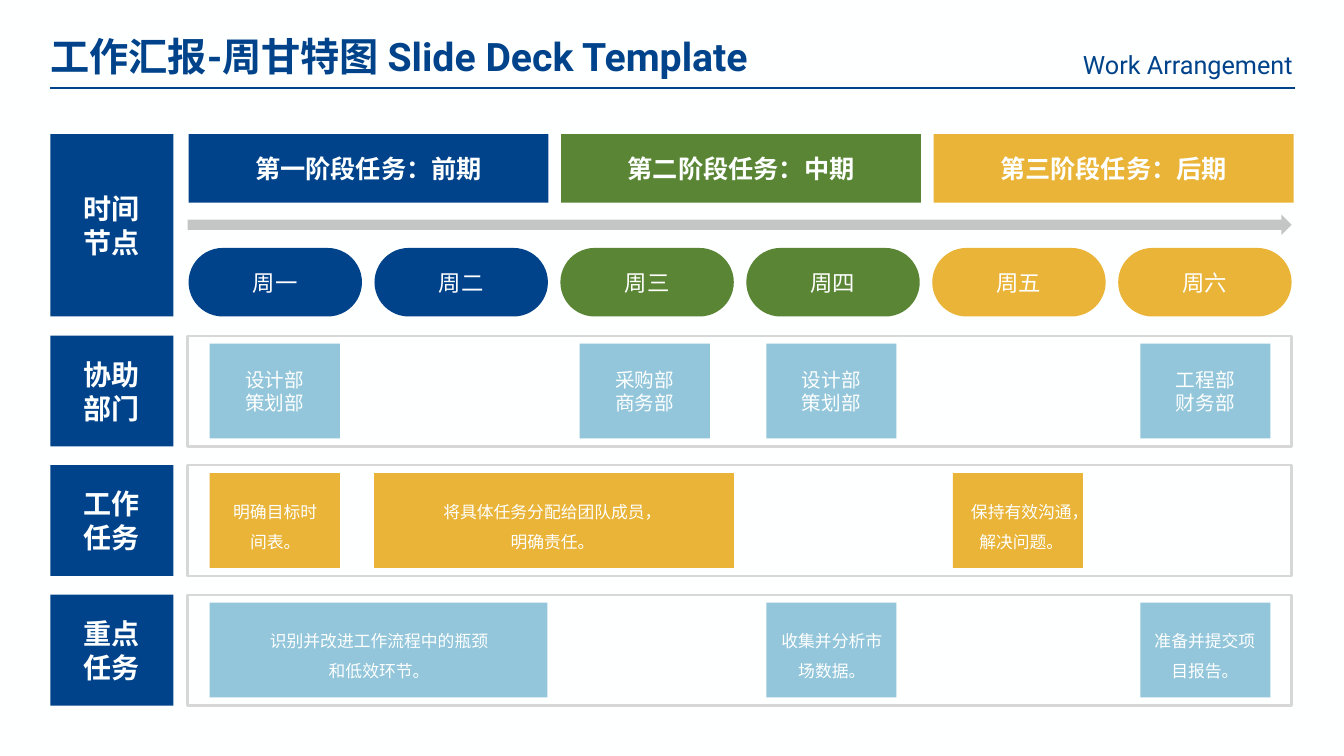
from pptx import Presentation
from pptx.dml.color import RGBColor
from pptx.enum.shapes import MSO_CONNECTOR, MSO_SHAPE
from pptx.enum.text import MSO_ANCHOR, MSO_AUTO_SIZE, PP_ALIGN
from pptx.util import Inches, Pt
from lxml import etree

RECT, PILL, ARROW = MSO_SHAPE.RECTANGLE, MSO_SHAPE.ROUNDED_RECTANGLE, MSO_SHAPE.RIGHT_ARROW
LEFT, CENTER, RIGHT = PP_ALIGN.LEFT, PP_ALIGN.CENTER, PP_ALIGN.RIGHT
TOP, MIDDLE = MSO_ANCHOR.TOP, MSO_ANCHOR.MIDDLE
GROW = MSO_AUTO_SIZE.SHAPE_TO_FIT_TEXT
STRAIGHT = MSO_CONNECTOR.STRAIGHT

BLUE, GREEN, AMBER, SKY = "00438B", "598535", "E9B437", "93C6DA"
WHITE, GRAY, FRAME = "FEFFFF", "C4C6C6", "D7D7D7"
A_NS = "http://schemas.openxmlformats.org/drawingml/2006/main"

prs = Presentation()
prs.slide_width, prs.slide_height = Inches(13.33), Inches(7.5)
s = prs.slides.add_slide(prs.slide_layouts[5])
s.background.fill.solid()
s.background.fill.fore_color.rgb = RGBColor.from_string(WHITE)


def write(sp, text, size, color=WHITE, bold=False, align=CENTER, spacing=1.0):
    """Fill a shape with text, one paragraph per line."""
    tf = sp.text_frame
    tf.text = text
    for p in tf.paragraphs:
        p.alignment = align
        p.line_spacing = spacing
        font = {"name": "Roboto", "size": Pt(size), "bold": bold}
        for key, value in font.items():
            setattr(p.runs[0].font, key, value)
        p.runs[0].font.color.rgb = RGBColor.from_string(color)
    return tf


def add_block(kind, x, y, w, h, fill=None):
    """Add a borderless filled shape, or an empty frame when there is no fill."""
    sp = s.shapes.add_shape(kind, Inches(x), Inches(y), Inches(w), Inches(h))
    sp.shadow.inherit = False
    if fill:
        sp.fill.solid()
        sp.fill.fore_color.rgb = RGBColor.from_string(fill)
        sp.line.fill.background()
    else:
        sp.fill.background()
        sp.line.color.rgb = RGBColor.from_string(FRAME)
        sp.line.width = Pt(1.5)
    tf = sp.text_frame
    tf.vertical_anchor = MIDDLE
    for side in ("left", "top", "right", "bottom"):
        setattr(tf, f"margin_{side}", Inches(0.03))
    return sp


# Header
title = s.shapes.title
title.left, title.top, title.width, title.height = map(Inches, (0.4, 0.27, 7.68, 0.57))
subtitle = s.shapes.add_textbox(Inches(10.39), Inches(0.44), Inches(2.53), Inches(0.4))
for sp, text, size, bold, align in (
    (title, "工作汇报-周甘特图 Slide Deck Template", 28, True, LEFT),
    (subtitle, "Work Arrangement", 18, False, RIGHT),
):
    tf = write(sp, text, size, BLUE, bold, align)
    tf.word_wrap = False
    tf.auto_size = GROW
    tf.vertical_anchor = TOP

rule = s.shapes.add_connector(STRAIGHT, Inches(0.5), Inches(0.87), Inches(12.84), Inches(0.87))
rule.line.color.rgb = RGBColor.from_string(BLUE)
rule.line.width = Pt(1.5)
etree.SubElement(rule._element.spPr, f"{{{A_NS}}}effectLst")

# Row labels
ROW_TOP, ROW_H = 3.33, 1.1
ROW_STEP = (5.9 - ROW_TOP) / 2
write(add_block(RECT, 0.5, 1.33, 1.22, 1.81, BLUE), "时间\n节点", 20, bold=True)
for row, label in enumerate(("协助\n部门", "工作\n任务", "重点\n任务")):
    y = ROW_TOP + row * ROW_STEP
    write(add_block(RECT, 0.5, y, 1.22, ROW_H, BLUE), label, 20, bold=True)

# Stages and days
GRID_LEFT = 1.87
STAGE_STEP = (9.26 - GRID_LEFT) / 2
DAY_STEP = (11.09 - GRID_LEFT) / 5
stages = (("第一阶段任务：前期", BLUE), ("第二阶段任务：中期", GREEN), ("第三阶段任务：后期", AMBER))
for i, (stage, color) in enumerate(stages):
    bar = add_block(RECT, GRID_LEFT + i * STAGE_STEP, 1.33, 3.57, 0.68, color)
    write(bar, stage, 18, bold=True)

for i, day in enumerate("一二三四五六"):
    pill = add_block(PILL, GRID_LEFT + i * DAY_STEP, 2.46, 1.72, 0.68, stages[i // 2][1])
    pill.adjustments[0] = 0.5
    write(pill, "周" + day, 16, "FFFFFF")

add_block(ARROW, 1.86, 2.13, 10.95, 0.2, GRAY)

# Departments
CELL_W, CELL_H = 1.29, 0.94
CELL_INSET = (ROW_H - CELL_H) / 2
for x, departments in (
    (2.08, "设计部\n策划部"),
    (5.75, "采购部\n商务部"),
    (7.6, "设计部\n策划部"),
    (11.31, "工程部\n财务部"),
):
    cell = add_block(RECT, x, ROW_TOP + CELL_INSET, CELL_W, CELL_H, SKY)
    write(cell, departments, 14)

for row in range(3):
    add_block(RECT, 1.86, ROW_TOP + row * ROW_STEP, 10.95, ROW_H)

# Tasks: row, bar left and width, colour, text left and width, text
for row, x, w, color, text_x, text_w, task in (
    (1, 2.08, CELL_W, AMBER, 2.15, 1.16, "明确目标时间表。"),
    (1, 3.71, 3.57, AMBER, 3.92, 3.12, "将具体任务分配给团队成员，\n明确责任。"),
    (1, 9.45, CELL_W, AMBER, 9.52, 1.22, "保持有效沟通，解决问题。"),
    (2, 2.08, 3.35, SKY, 2.2, 3.12, "识别并改进工作流程中的瓶颈\n和低效环节。"),
    (2, 7.6, CELL_W, SKY, 7.64, 1.22, "收集并分析市场数据。"),
    (2, 11.31, CELL_W, SKY, 11.34, 1.22, "准备并提交项目报告。"),
):
    y = ROW_TOP + row * ROW_STEP
    add_block(RECT, x, y + CELL_INSET, w, CELL_H, color)
    box = s.shapes.add_textbox(Inches(text_x), Inches(y + 0.21), Inches(text_w), Inches(0.68))
    tf = write(box, task, 12, spacing=1.5)
    tf.word_wrap = True
    tf.auto_size = GROW

prs.save("out.pptx")
